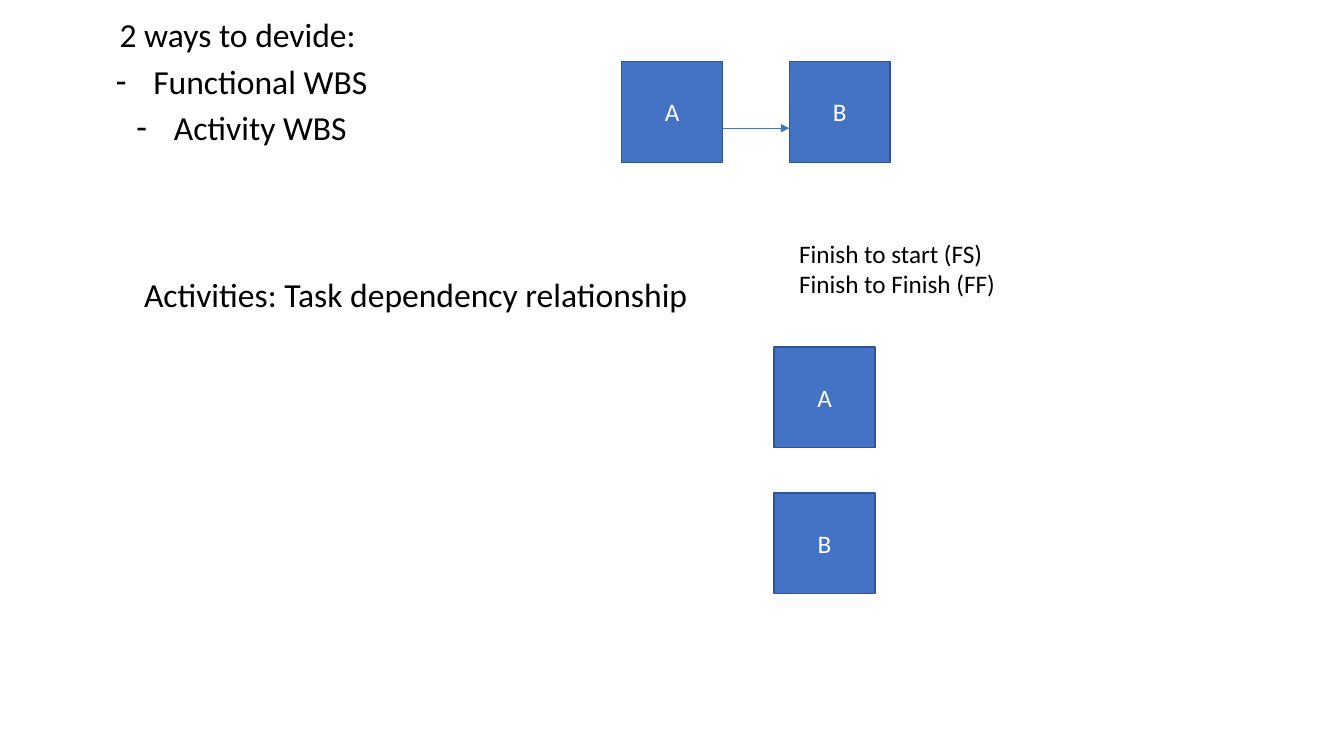
from dataclasses import dataclass

from lxml import etree
from pptx import Presentation
from pptx.dml.color import RGBColor
from pptx.enum.shapes import MSO_CONNECTOR, MSO_SHAPE
from pptx.enum.text import MSO_ANCHOR, MSO_AUTO_SIZE, PP_ALIGN
from pptx.oxml.ns import qn
from pptx.util import Cm, Pt

RECTANGLE = MSO_SHAPE.RECTANGLE
STRAIGHT = MSO_CONNECTOR.STRAIGHT
CENTER = PP_ALIGN.CENTER
TOP = MSO_ANCHOR.TOP
MIDDLE = MSO_ANCHOR.MIDDLE
FIXED = MSO_AUTO_SIZE.NONE
GROW = MSO_AUTO_SIZE.SHAPE_TO_FIT_TEXT

TASK_SIDE = 2.54


@dataclass(frozen=True)
class Theme:
    font: str = "Calibri"
    large: int = 24
    normal: int = 18
    ink: RGBColor = RGBColor(0x00, 0x00, 0x00)
    light: RGBColor = RGBColor(0xFF, 0xFF, 0xFF)
    accent: RGBColor = RGBColor(0x44, 0x72, 0xC4)
    edge: RGBColor = RGBColor(0x32, 0x54, 0x91)


class SlideBuilder:
    def __init__(self, slide, theme):
        self.slide = slide
        self.theme = theme

    def style(self, frame, size, color):
        for paragraph in frame.paragraphs:
            for run in paragraph.runs:
                run.font.name = self.theme.font
                run.font.size = Pt(size)
                run.font.color.rgb = color

    def outline(self, heading, items, left, top, width, height):
        title = self.slide.shapes.title
        title.element.getparent().remove(title.element)
        body = self.slide.placeholders[1]
        body.left, body.top = Cm(left), Cm(top)
        body.width, body.height = Cm(width), Cm(height)
        frame = body.text_frame
        frame.text = "\n".join([heading, *items])
        frame.auto_size = FIXED
        frame.vertical_anchor = TOP
        for index, paragraph in enumerate(frame.paragraphs):
            if index:
                properties = paragraph._p.get_or_add_pPr()
                properties.set("marL", str(Cm(0.95)))
                properties.set("indent", str(-Cm(0.95)))
                etree.SubElement(properties, qn("a:buChar")).set("char", "-")
            paragraph.alignment = CENTER
            paragraph.line_spacing = 0.8
            paragraph.space_before = Pt(10 if index else 0)
        self.style(frame, self.theme.large, self.theme.ink)

    def label(self, text, left, top, width, height, size):
        box = self.slide.shapes.add_textbox(Cm(left), Cm(top), Cm(width), Cm(height))
        frame = box.text_frame
        frame.text = text
        frame.word_wrap = False
        frame.auto_size = GROW
        self.style(frame, size, self.theme.ink)

    def task(self, name, left, top):
        side = Cm(TASK_SIDE)
        square = self.slide.shapes.add_shape(RECTANGLE, Cm(left), Cm(top), side, side)
        square.shadow.inherit = False
        square.fill.solid()
        square.fill.fore_color.rgb = self.theme.accent
        square.line.color.rgb = self.theme.edge
        square.line.width = Pt(1)
        frame = square.text_frame
        frame.text = name
        frame.vertical_anchor = MIDDLE
        frame.paragraphs[0].alignment = CENTER
        self.style(frame, self.theme.normal, self.theme.light)

    def arrow(self, start, end, height):
        link = self.slide.shapes.add_connector(
            STRAIGHT, Cm(start), Cm(height), Cm(end), Cm(height)
        )
        link.line.color.rgb = self.theme.accent
        link.line.width = Pt(0.5)
        etree.SubElement(link.line._get_or_add_ln(), qn("a:tailEnd")).set("type", "triangle")
        etree.SubElement(link._element.spPr, qn("a:effectLst"))


def main():
    presentation = Presentation()
    presentation.slide_width = Cm(33.87)
    presentation.slide_height = Cm(19.05)
    theme = Theme()
    slide = presentation.slides.add_slide(presentation.slide_layouts[0])
    builder = SlideBuilder(slide, theme)

    builder.outline(
        "2 ways to devide: ", ["Functional WBS", "Activity WBS"], 1.73, 0.43, 8.71, 3.66
    )
    builder.label(
        "Activities: Task dependency relationship", 3.38, 6.78, 14.55, 1.27, theme.large
    )
    builder.label(
        "Finish to start (FS)\nFinish to Finish (FF)", 19.89, 5.87, 5.51, 1.8, theme.normal
    )

    first_left, second_left = 15.67, 19.89
    for name, left in (("A", first_left), ("B", second_left)):
        builder.task(name, left, 1.55)
    builder.arrow(first_left + TASK_SIDE, second_left, 3.23)
    for name, top in (("A", 8.74), ("B", 12.42)):
        builder.task(name, 19.51, top)

    presentation.save("out.pptx")


if __name__ == "__main__":
    main()
